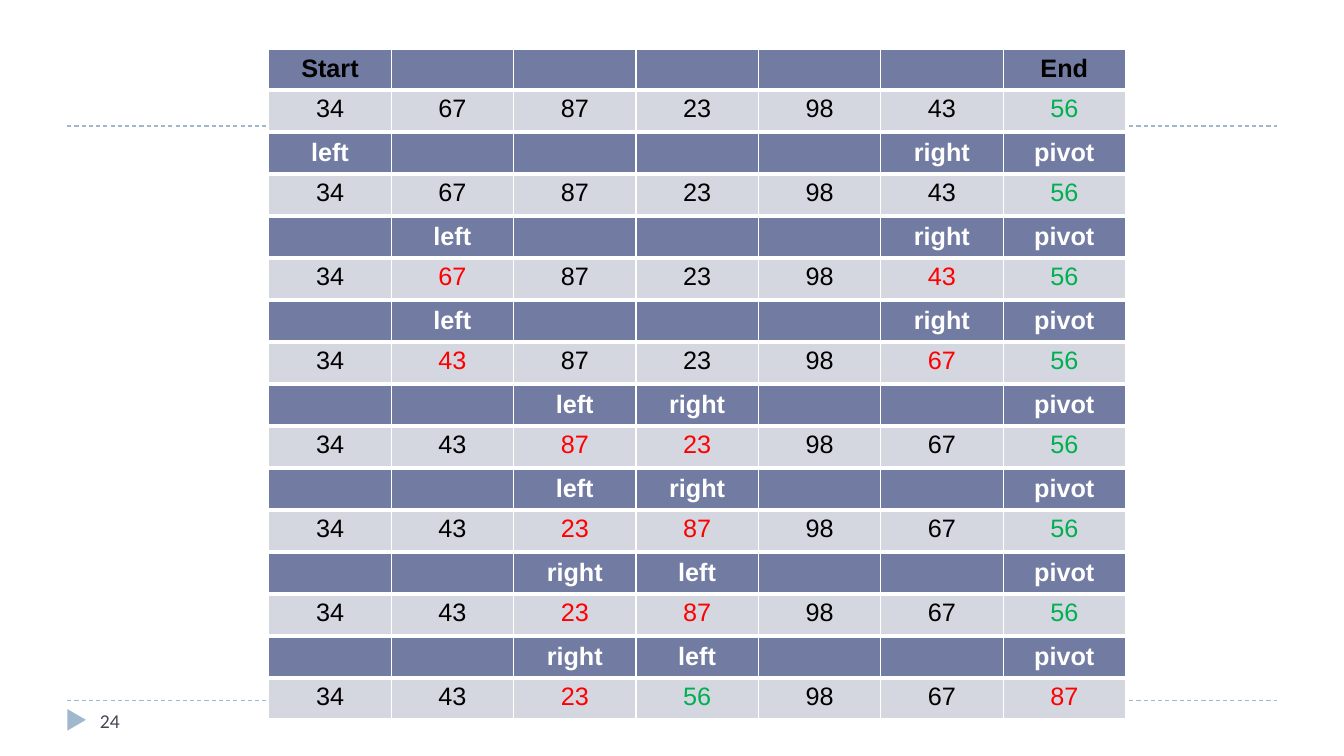
from lxml import etree
from pptx import Presentation
from pptx.dml.color import RGBColor
from pptx.enum.dml import MSO_LINE
from pptx.enum.shapes import MSO_CONNECTOR, MSO_SHAPE
from pptx.enum.text import MSO_ANCHOR, PP_ALIGN
from pptx.oxml.ns import qn
from pptx.util import Inches, Pt

STRAIGHT = MSO_CONNECTOR.STRAIGHT
TRIANGLE = MSO_SHAPE.ISOSCELES_TRIANGLE
DASH = MSO_LINE.DASH
CENTER = PP_ALIGN.CENTER
MIDDLE = MSO_ANCHOR.MIDDLE

WHITE = RGBColor(0xFF, 0xFF, 0xFF)
BLACK = RGBColor(0x00, 0x00, 0x00)
RED = RGBColor(0xFF, 0x00, 0x00)
GREEN = RGBColor(0x00, 0xB0, 0x50)
HEADER_FILL = RGBColor(0x72, 0x7C, 0xA3)
VALUE_FILL = RGBColor(0xD5, 0xD7, 0xE0)
ACCENT = RGBColor(0x9F, 0xB8, 0xCD)
NUMBER_COLOR = RGBColor(0x46, 0x46, 0x53)

SLIDE_WIDTH = Inches(13.33)
SLIDE_HEIGHT = Inches(7.5)
COLUMN = SLIDE_WIDTH / 20
ROW = SLIDE_HEIGHT / 9

FIRST_STEP_ROW = 0.59
STEP_LEFT = 4
STEP_WIDTH = 12.75
STEP_HEIGHT = 0.96
RULE_ROWS = (1.5, 8.34)

THIN, THICK = Pt(1), Pt(3)

# fields: markers by position, values, swapped positions, pivot position
STEPS = [
    ({0: "Start", 6: "End"}, (34, 67, 87, 23, 98, 43, 56), (), 6),
    ({0: "left", 5: "right", 6: "pivot"}, (34, 67, 87, 23, 98, 43, 56), (), 6),
    ({1: "left", 5: "right", 6: "pivot"}, (34, 67, 87, 23, 98, 43, 56), (1, 5), 6),
    ({1: "left", 5: "right", 6: "pivot"}, (34, 43, 87, 23, 98, 67, 56), (1, 5), 6),
    ({2: "left", 3: "right", 6: "pivot"}, (34, 43, 87, 23, 98, 67, 56), (2, 3), 6),
    ({2: "left", 3: "right", 6: "pivot"}, (34, 43, 23, 87, 98, 67, 56), (2, 3), 6),
    ({2: "right", 3: "left", 6: "pivot"}, (34, 43, 23, 87, 98, 67, 56), (2, 3), 6),
    ({2: "right", 3: "left", 6: "pivot"}, (34, 43, 23, 56, 98, 67, 87), (2, 6), 3),
]


def grid_box(left, top, width, height):
    return (round(left * COLUMN), round(top * ROW),
            round(width * COLUMN), round(height * ROW))


def add_rule(slide, row):
    y = round(row * ROW)
    rule = slide.shapes.add_connector(
        STRAIGHT, round(COLUMN), y, round(19 * COLUMN), y)
    rule.line.color.rgb = ACCENT
    rule.line.width = Pt(0.75)
    rule.line.dash_style = DASH
    etree.SubElement(rule.element.spPr, qn("a:effectLst"))


def add_page_marker(slide):
    marker = slide.shapes.add_shape(TRIANGLE, *grid_box(0.98, 8.46, 0.32, 0.22))
    marker.rotation = 90
    marker.shadow.inherit = False
    marker.fill.solid()
    marker.fill.fore_color.rgb = ACCENT
    marker.line.fill.background()


def add_page_number(slide, number):
    frame = slide.shapes.add_textbox(*grid_box(1.34, 8.34, 4.34, 0.48)).text_frame
    frame.word_wrap = True
    frame.vertical_anchor = MIDDLE
    paragraph = frame.paragraphs[0]
    paragraph.text = number
    paragraph.font.name = "Calibri"
    paragraph.font.size = Pt(14)
    paragraph.font.color.rgb = NUMBER_COLOR


def set_borders(cell, top, bottom):
    properties = cell._tc.get_or_add_tcPr()
    for side, width in (("L", THIN), ("R", THIN), ("T", top), ("B", bottom)):
        border = etree.SubElement(properties, qn(f"a:ln{side}"), w=str(width))
        fill = etree.SubElement(border, qn("a:solidFill"))
        etree.SubElement(fill, qn("a:srgbClr"), val=str(WHITE))


def fill_cell(cell, text, color, background, bold):
    cell.fill.solid()
    cell.fill.fore_color.rgb = background
    paragraph = cell.text_frame.paragraphs[0]
    paragraph.text = text
    paragraph.alignment = CENTER
    paragraph.font.name = "Arial"
    paragraph.font.size = Pt(18)
    paragraph.font.bold = bold
    paragraph.font.color.rgb = color


def value_color(position, swapped, pivot):
    if position == pivot:
        return GREEN
    return RED if position in swapped else BLACK


def add_step(slide, index, markers, values, swapped, pivot):
    box = grid_box(STEP_LEFT, FIRST_STEP_ROW + index, STEP_WIDTH, STEP_HEIGHT)
    table = slide.shapes.add_table(2, len(values), *box).table
    marker_color = BLACK if index == 0 else WHITE
    for position, value in enumerate(values):
        header, body = table.cell(0, position), table.cell(1, position)
        set_borders(header, THIN, THICK)
        set_borders(body, THICK, THIN)
        fill_cell(header, markers.get(position, ""), marker_color, HEADER_FILL, True)
        fill_cell(body, str(value), value_color(position, swapped, pivot),
                  VALUE_FILL, False)


def main():
    presentation = Presentation()
    presentation.slide_width = SLIDE_WIDTH
    presentation.slide_height = SLIDE_HEIGHT
    slide = presentation.slides.add_slide(presentation.slide_layouts[6])
    for row in RULE_ROWS:
        add_rule(slide, row)
    add_page_marker(slide)
    for index, step in enumerate(STEPS):
        add_step(slide, index, *step)
    add_page_number(slide, "24")
    presentation.save("out.pptx")


if __name__ == "__main__":
    main()
